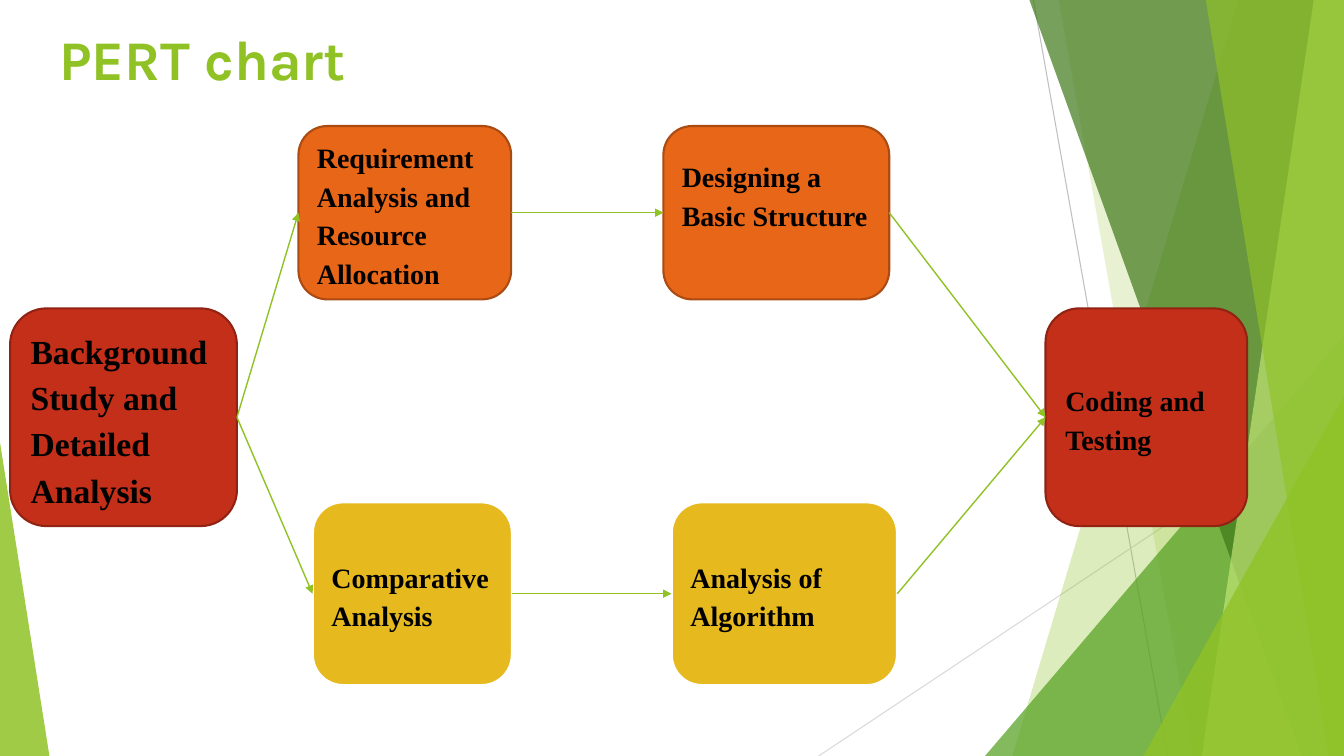
from lxml.etree import SubElement
from pptx import Presentation
from pptx.dml.color import RGBColor
from pptx.enum.shapes import MSO_CONNECTOR, MSO_SHAPE
from pptx.enum.text import MSO_ANCHOR, PP_ALIGN
from pptx.oxml.ns import qn
from pptx.util import Inches, Pt

WHITE = RGBColor(0xFF, 0xFF, 0xFF)
BLACK = RGBColor(0, 0, 0)
GREEN = RGBColor(0x90, 0xC2, 0x26)
MID_GREEN = RGBColor(0x54, 0xA0, 0x21)
DARK_GREEN = RGBColor(0x3F, 0x78, 0x19)
PALE_GREEN = RGBColor(0xC0, 0xE4, 0x74)
GREY = RGBColor(0xBF, 0xBF, 0xBF)
LIGHT_GREY = RGBColor(0xD9, 0xD9, 0xD9)
RED = RGBColor(0xC4, 0x2F, 0x1A)
DARK_RED = RGBColor(0x91, 0x23, 0x13)
ORANGE = RGBColor(0xE7, 0x66, 0x18)
DARK_ORANGE = RGBColor(0xAB, 0x4B, 0x12)
YELLOW = RGBColor(0xE6, 0xB9, 0x1E)

W, H = 13.33, 7.5
LEFT_SITE, RIGHT_SITE = 1, 3


class PertSlide:
    """Style and drawing methods for the current slide."""

    title_font = {"name": "Karla", "size": Pt(40), "bold": True}
    task_font = {"name": "Times New Roman", "bold": True}
    task_paragraph = {"line_spacing": 1.15, "space_after": Pt(6),
                      "alignment": PP_ALIGN.LEFT}

    def __init__(self, prs):
        """Add a blank slide."""
        self.s = prs.slides.add_slide(prs.slide_layouts[6])

    def add_text(self, tf, text, color, font, paragraph):
        """Put one formatted paragraph in a text frame."""
        tf.word_wrap = True
        p = tf.paragraphs[0]
        r = p.add_run()
        r.text = text
        r.font.color.rgb = color
        for target, values in ((r.font, font), (p, paragraph)):
            for key, value in values.items():
                setattr(target, key, value)

    def title(self, text, box):
        """Add the slide title."""
        sp = self.s.shapes.add_textbox(*map(Inches, box))
        self.add_text(sp.text_frame, text, GREEN, self.title_font, {})

    def tint(self, sp, color, opacity):
        """Fill a borderless shape with a translucent colour."""
        sp.shadow.inherit = False
        sp.line.fill.background()
        sp.fill.solid()
        sp.fill.fore_color.rgb = color
        clr = sp._element.spPr.find(qn("a:solidFill"))[0]
        SubElement(clr, qn("a:alpha"), val=str(opacity * 1000))

    def band(self, top_x, bottom_x, color, opacity):
        """Fill from a slanted edge to the right side of the slide."""
        points = [(W, 0), (W, H), (bottom_x, H)]
        fb = self.s.shapes.build_freeform(Inches(top_x), Inches(0))
        fb.add_line_segments([(Inches(x), Inches(y)) for x, y in points])
        self.tint(fb.convert_to_shape(), color, opacity)

    def triangle(self, x, y, width, apex, color, opacity):
        """Add a triangle standing on the bottom of the slide."""
        box = map(Inches, (x, y, width, H - y))
        sp = self.s.shapes.add_shape(MSO_SHAPE.ISOSCELES_TRIANGLE, *box)
        sp.adjustments[0] = apex
        self.tint(sp, color, opacity)

    def line(self, start, end, color, width):
        """Add a straight line without shadow."""
        cx = self.s.shapes.add_connector(
            MSO_CONNECTOR.STRAIGHT, *map(Inches, start + end))
        cx.line.color.rgb = color
        cx.line.width = Pt(width)
        SubElement(cx._element.spPr, qn("a:effectLst"))
        return cx

    def arrow(self, source, target):
        """Link the right side of one task to the left side of another."""
        cx = self.line((0, 0), (1, 1), GREEN, 1)
        cx.begin_connect(source, RIGHT_SITE)
        cx.end_connect(target, LEFT_SITE)
        ln = cx._element.spPr.find(qn("a:ln"))
        SubElement(ln, qn("a:tailEnd"), type="triangle")

    def task(self, text, box, fill, border, width=1.5, size=20, bottom=0.05):
        """Add a rounded task box and return it."""
        sp = self.s.shapes.add_shape(
            MSO_SHAPE.ROUNDED_RECTANGLE, *map(Inches, box))
        sp.shadow.inherit = False
        sp.fill.solid()
        sp.fill.fore_color.rgb = fill
        sp.line.color.rgb = border
        sp.line.width = Pt(width)
        tf = sp.text_frame
        tf.vertical_anchor = MSO_ANCHOR.MIDDLE
        tf.margin_bottom = Inches(bottom)
        self.add_text(tf, text, BLACK, {**self.task_font, "size": Pt(size)},
                      self.task_paragraph)
        return sp


def draw_backdrop(slide):
    """Draw the green facets and thin lines at the slide edges."""
    slide.line((10.25, 0), (11.58, H), GREY, 0.75)
    slide.line((W, 4.03), (8.12, H), LIGHT_GREY, 0.75)
    slide.band(12.28, 10.04, GREEN, 30)
    slide.band(10.5, 11.83, GREEN, 20)
    slide.triangle(9.77, 3.33, 3.56, 1, MID_GREEN, 72)
    slide.band(10.21, 12.91, DARK_GREEN, 70)
    slide.band(13.03, 11.92, PALE_GREEN, 70)
    slide.band(11.96, 13.18, GREEN, 65)
    slide.triangle(11.34, 3.93, 1.99, 1, GREEN, 80)
    slide.triangle(0, 4.39, 0.49, 0, GREEN, 85)


def draw_chart(slide):
    """Draw the tasks and the arrows along both routes."""
    red, orange = (RED, DARK_RED), (ORANGE, DARK_ORANGE)
    yellow = (YELLOW, WHITE, 2)
    background = slide.task("Background Study and Detailed Analysis",
                            (0.1, 3.06, 2.25, 2.16), *red, size=24)
    requirement = slide.task("Requirement Analysis and Resource Allocation",
                             (2.96, 1.25, 2.11, 1.72), *orange)
    coding = slide.task("Coding and Testing", (10.37, 3.06, 2, 2.16), *red)
    design = slide.task("Designing a Basic Structure",
                        (6.58, 1.25, 2.24, 1.72), *orange, bottom=0.44)
    algorithm = slide.task("Analysis of Algorithm",
                           (6.66, 4.98, 2.24, 1.82), *yellow)
    comparative = slide.task("Comparative Analysis",
                             (3.1, 4.98, 1.98, 1.82), *yellow)
    for route in ((background, requirement, design, coding),
                  (background, comparative, algorithm, coding)):
        for source, target in zip(route, route[1:]):
            slide.arrow(source, target)


prs = Presentation()
prs.slide_width, prs.slide_height = Inches(W), Inches(H)
pert = PertSlide(prs)
draw_backdrop(pert)
pert.title("PERT chart", (0.49, 0.19, 11.5, 1.45))
draw_chart(pert)
prs.save("out.pptx")
